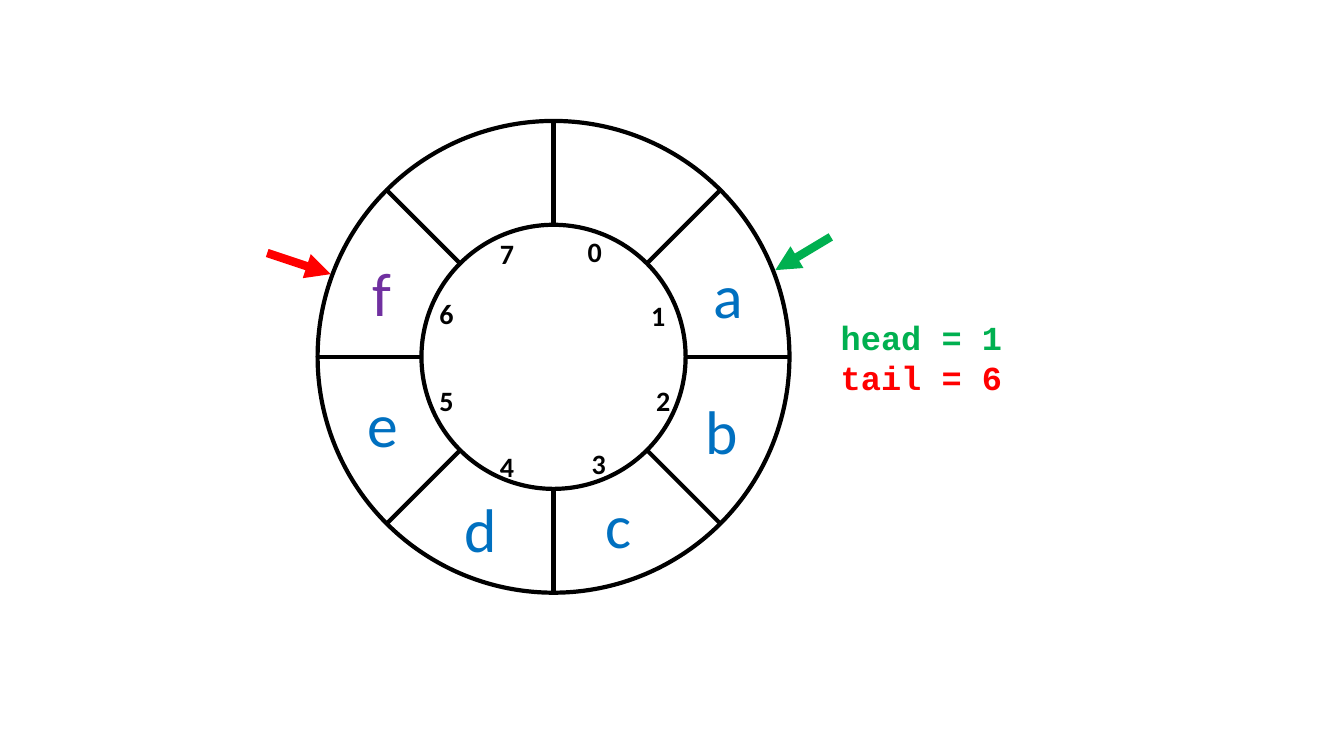
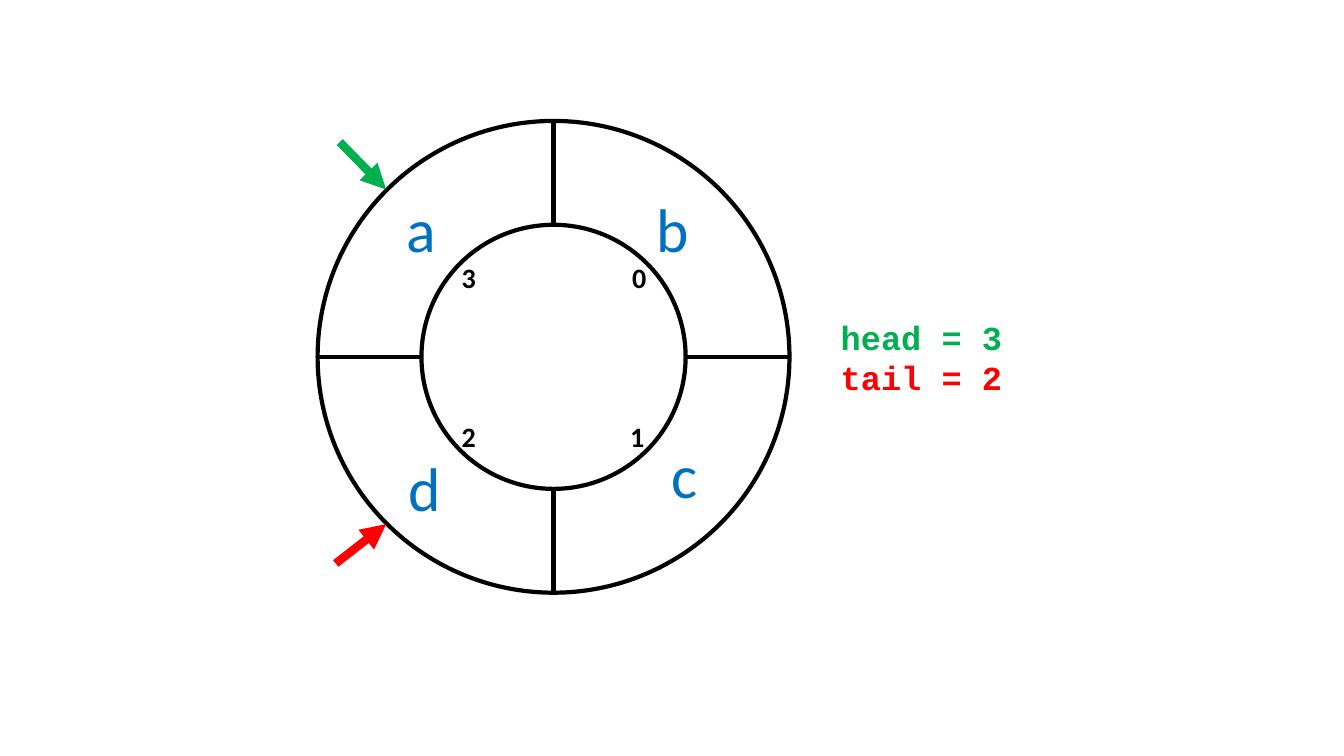
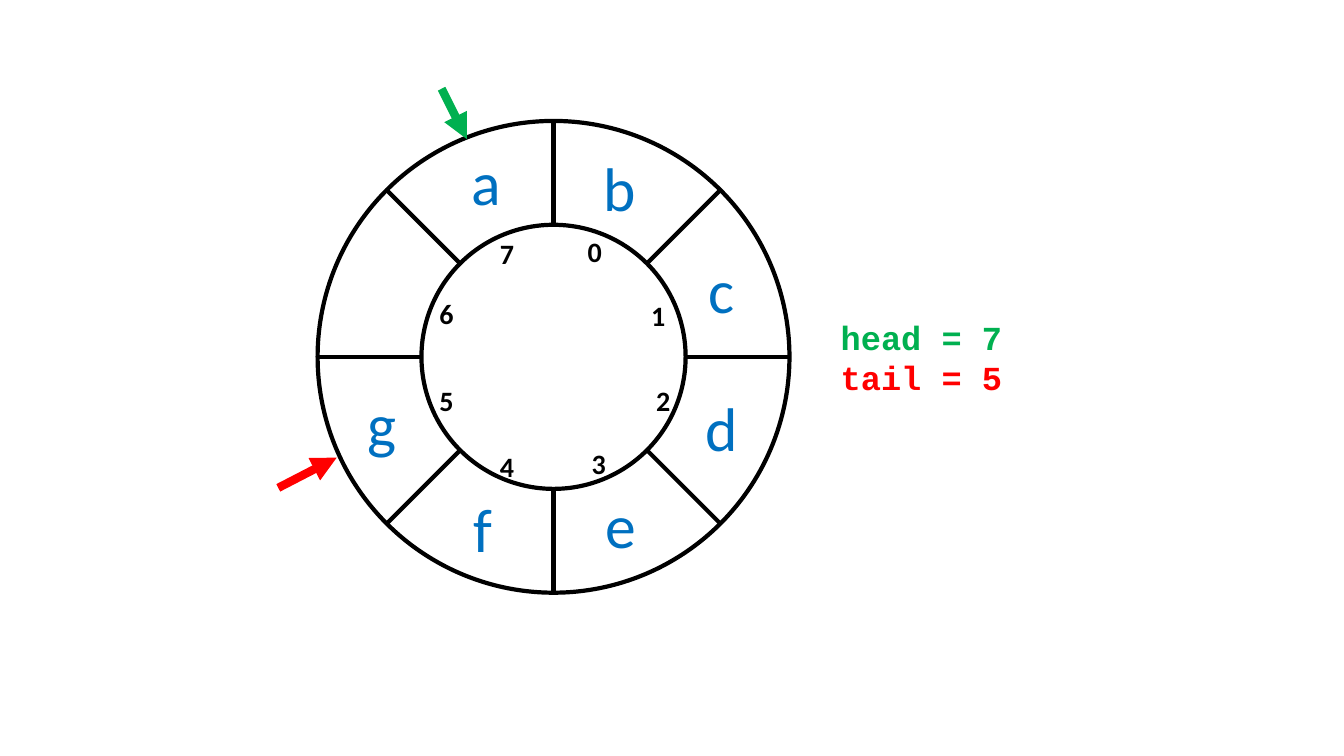
from math import cos, radians, sin

from lxml import etree
from pptx import Presentation
from pptx.dml.color import RGBColor
from pptx.enum.shapes import MSO_CONNECTOR, MSO_SHAPE
from pptx.enum.text import MSO_AUTO_SIZE
from pptx.oxml.ns import qn
from pptx.util import Inches, Pt

STRAIGHT = MSO_CONNECTOR.STRAIGHT
OVAL = MSO_SHAPE.OVAL
GROW = MSO_AUTO_SIZE.SHAPE_TO_FIT_TEXT

BLACK = RGBColor(0x00, 0x00, 0x00)
GREEN = RGBColor(0x00, 0xB0, 0x50)
RED = RGBColor(0xFF, 0x00, 0x00)
BLUE = RGBColor(0x00, 0x70, 0xC0)
PURPLE = RGBColor(0x70, 0x30, 0xA0)

STATE_FONT = {"name": "Courier New", "size": Pt(24), "bold": True}
ITEM_FONT = {"name": "Calibri", "size": Pt(44), "bold": False}
INDEX_FONT = {"name": "Calibri", "size": Pt(20), "bold": True}

CENTER_X, CENTER_Y = 5.49, 3.54
OUTER_RADIUS, INNER_RADIUS = 2.34, 1.31

INDEX_SPOTS = {
    4: [(6.17, 2.54), (6.15, 4.11), (4.48, 4.11), (4.48, 2.54)],
    8: [(5.73, 2.28), (6.36, 2.91), (6.41, 3.76), (5.77, 4.38),
        (4.86, 4.41), (4.26, 3.76), (4.26, 2.89), (4.86, 2.3)],
}

QUEUES = [
    {
        "slots": 8, "head": 1, "tail": 6,
        "head_arrow": (8.24, 2.35, 7.69, 2.68),
        "tail_arrow": (2.65, 2.51, 3.28, 2.72),
        "items": [("a", 6.98, 2.5, BLUE), ("b", 6.9, 3.85, BLUE),
                  ("c", 5.91, 4.78, BLUE), ("d", 4.51, 4.82, BLUE),
                  ("e", 3.55, 3.78, BLUE), ("f", 3.6, 2.48, PURPLE)],
    },
    {
        "slots": 4, "head": 3, "tail": 2,
        "head_arrow": (3.37, 1.41, 3.83, 1.88),
        "tail_arrow": (3.33, 5.59, 3.83, 5.2),
        "items": [("a", 3.93, 1.84, BLUE), ("b", 6.41, 1.84, BLUE),
                  ("c", 6.56, 4.29, BLUE), ("d", 3.95, 4.41, BLUE)],
    },
    {
        "slots": 8, "head": 7, "tail": 5,
        "head_arrow": (4.38, 0.88, 4.63, 1.38),
        "tail_arrow": (2.76, 4.84, 3.34, 4.54),
        "items": [("a", 4.58, 1.38, BLUE), ("b", 5.89, 1.44, BLUE),
                  ("c", 6.93, 2.45, BLUE), ("d", 6.9, 3.82, BLUE),
                  ("e", 5.91, 4.78, BLUE), ("f", 4.6, 4.82, BLUE),
                  ("g", 3.55, 3.78, BLUE)],
    },
]


def add_label(slide, box, rows, font_values):
    frame = slide.shapes.add_textbox(*map(Inches, box)).text_frame
    frame.word_wrap = True
    frame.auto_size = GROW
    for number, (text, color) in enumerate(rows):
        paragraph = frame.add_paragraph() if number else frame.paragraphs[0]
        run = paragraph.add_run()
        run.text = text
        for attribute, value in font_values.items():
            setattr(run.font, attribute, value)
        run.font.color.rgb = color


def add_line(slide, ends, color, width, arrow=False):
    connector = slide.shapes.add_connector(STRAIGHT, *map(Inches, ends))
    connector.line.color.rgb = color
    connector.line.width = Pt(width)
    if arrow:
        outline = connector.line._get_or_add_ln()
        etree.SubElement(outline, qn("a:tailEnd"), type="triangle")
    etree.SubElement(connector._element.spPr, qn("a:effectLst"))


prs = Presentation()
prs.slide_width = Inches(13.33)
prs.slide_height = Inches(7.5)
blank = prs.slide_layouts[6]

for queue in QUEUES:
    slide = prs.slides.add_slide(blank)
    state = [(f"head = {queue['head']}", GREEN), (f"tail = {queue['tail']}", RED)]
    add_label(slide, (8.24, 3.09, 1.8, 0.91), state, STATE_FONT)

    for radius in (OUTER_RADIUS, INNER_RADIUS):
        ring = slide.shapes.add_shape(
            OVAL, Inches(CENTER_X - radius), Inches(CENTER_Y - radius),
            Inches(2 * radius), Inches(2 * radius))
        ring.shadow.inherit = False
        ring.fill.background()
        ring.line.color.rgb = BLACK
        ring.line.width = Pt(3)

    for slot in range(queue["slots"]):
        angle = radians(360 * slot / queue["slots"])
        spoke = [origin + radius * part
                 for radius in (OUTER_RADIUS, INNER_RADIUS)
                 for origin, part in ((CENTER_X, sin(angle)), (CENTER_Y, -cos(angle)))]
        add_line(slide, spoke, BLACK, 3)

    for index, (left, top) in enumerate(INDEX_SPOTS[queue["slots"]]):
        add_label(slide, (left, top, 0.25, 0.44), [(str(index), BLACK)], INDEX_FONT)

    for letter, left, top, color in queue["items"]:
        add_label(slide, (left, top, 0.58, 0.84), [(letter, color)], ITEM_FONT)

    add_line(slide, queue["head_arrow"], GREEN, 6, arrow=True)
    add_line(slide, queue["tail_arrow"], RED, 6, arrow=True)

prs.save("out.pptx")
